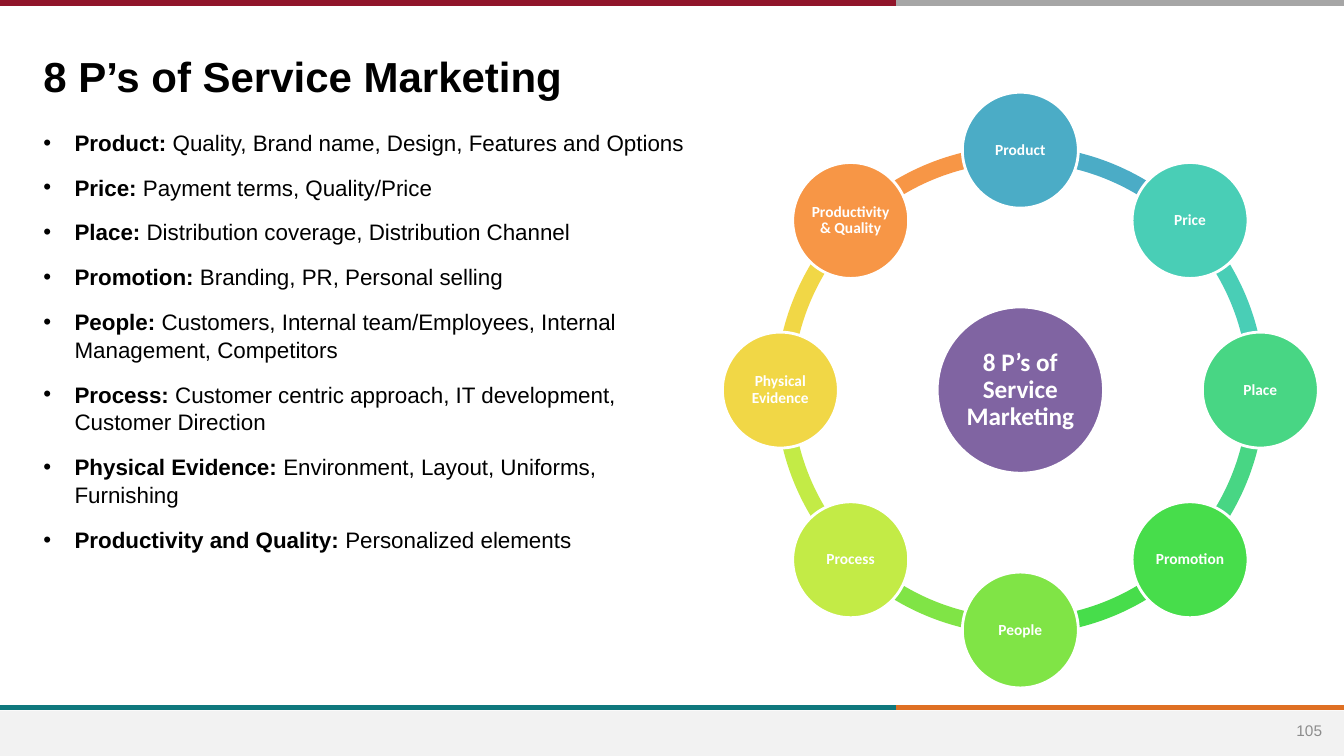
from dataclasses import dataclass
from math import cos, pi, sin

from lxml.etree import SubElement
from pptx import Presentation
from pptx.dml.color import RGBColor
from pptx.enum.shapes import MSO_CONNECTOR, MSO_SHAPE
from pptx.enum.text import MSO_ANCHOR, MSO_AUTO_SIZE, PP_ALIGN
from pptx.oxml.ns import qn
from pptx.util import Inches, Pt


@dataclass(frozen=True)
class Theme:
    text_font: str = "Arial"
    diagram_font: str = "Calibri"
    ink: str = "000000"
    white: str = "FFFFFF"
    muted: str = "8C8C8C"
    footer: str = "F2F2F2"
    teal: str = "0F787D"
    orange: str = "DF7023"
    crimson: str = "90152A"
    gray: str = "A6A6A6"
    hub: str = "8064A2"
    title_size: int = 30
    body_size: int = 16
    hub_size: int = 18
    small_size: int = 11


MARKETING_PS = [
    ("Product: ", "Quality, Brand name, Design, Features and Options"),
    ("Price: ", "Payment terms, Quality/Price"),
    ("Place: ", "Distribution coverage, Distribution Channel"),
    ("Promotion: ", "Branding, PR, Personal selling"),
    ("People: ", "Customers, Internal team/Employees, Internal Management, Competitors"),
    ("Process: ", "Customer centric approach, IT development, Customer Direction"),
    ("Physical Evidence: ", "Environment, Layout, Uniforms, Furnishing"),
    ("Productivity and Quality: ", "Personalized elements"),
]

# Clockwise from the top of the ring
RING = [
    ("Product", "4BACC6"),
    ("Price", "49CEB6"),
    ("Place", "48D684"),
    ("Promotion", "47DD4B"),
    ("People", "80E446"),
    ("Process", "C3EB46"),
    ("Physical Evidence", "F1D746"),
    ("Productivity & Quality", "F79646"),
]

SLIDE_WIDTH, SLIDE_HEIGHT = 13.33, 7.5
BAND_SPLIT = 8.89
FOOTER_TOP = 7.05
CENTER_X, CENTER_Y = 10.12, 3.87
ORBIT = 2.38
NODE_DIAMETER, HUB_DIAMETER, ARC_DIAMETER = 1.15, 1.65, 4.85
ARC_THICKNESS = 0.034
FULL_TURN, TOP_ANGLE = 216, 162  # adjustment units: 0.6 per degree


class SlideBuilder:
    def __init__(self, slide, theme):
        self.slide = slide
        self.theme = theme

    def style(self, run, size, color, font=None, bold=False):
        run.font.name = font or self.theme.text_font
        run.font.size = Pt(size)
        run.font.bold = bold
        run.font.color.rgb = RGBColor.from_string(color)

    def place(self, placeholder, left, top, width, height, anchor):
        placeholder.left, placeholder.top = Inches(left), Inches(top)
        placeholder.width, placeholder.height = Inches(width), Inches(height)
        frame = placeholder.text_frame
        frame.auto_size = MSO_AUTO_SIZE.NONE
        frame.vertical_anchor = anchor
        return frame

    def title(self, wording):
        frame = self.place(self.slide.shapes.title, 0.33, 0.46, 10.65, 0.59, MSO_ANCHOR.MIDDLE)
        frame.text = wording
        heading = frame.paragraphs[0]
        heading.alignment = PP_ALIGN.LEFT
        self.style(heading.runs[0], self.theme.title_size, self.theme.ink, bold=True)

    def definitions(self, entries):
        """Fill the body with bullets, each a bold term and its explanation."""
        frame = self.place(self.slide.placeholders[1], 0.33, 1.22, 6.7, 5.45, MSO_ANCHOR.TOP)
        for index, entry in enumerate(entries):
            bullet = frame.add_paragraph() if index else frame.paragraphs[0]
            properties = bullet._p.get_or_add_pPr()
            properties.set("marL", str(Inches(0.31)))
            properties.set("indent", str(-Inches(0.31)))
            bullet.space_before, bullet.space_after = Pt(0), Pt(12)
            bullet.line_spacing = 1.04
            for wording, bold in zip(entry, (True, False)):
                run = bullet.add_run()
                run.text = wording
                self.style(run, self.theme.body_size, self.theme.ink, bold=bold)

    def shape(self, preset, left, top, width, height, fill):
        shape = self.slide.shapes.add_shape(
            preset, Inches(left), Inches(top), Inches(width), Inches(height))
        shape.shadow.inherit = False
        shape.fill.solid()
        shape.fill.fore_color.rgb = RGBColor.from_string(fill)
        shape.line.fill.background()
        return shape

    def rule(self, start, end, y, color):
        rule = self.slide.shapes.add_connector(
            MSO_CONNECTOR.STRAIGHT, Inches(start), Inches(y), Inches(end), Inches(y))
        rule.line.color.rgb = RGBColor.from_string(color)
        rule.line.width = Pt(4)
        SubElement(rule._element.spPr, qn("a:effectLst"))

    def circle(self, x, y, diameter, fill, label, size):
        """Draw a white-edged labelled circle centred on x, y."""
        circle = self.shape(MSO_SHAPE.OVAL, x - diameter / 2, y - diameter / 2,
                            diameter, diameter, fill)
        circle.line.color.rgb = RGBColor.from_string(self.theme.white)
        circle.line.width = Pt(2)
        frame = circle.text_frame
        frame.text = label
        frame.word_wrap = True
        frame.vertical_anchor = MSO_ANCHOR.MIDDLE
        frame.margin_left = frame.margin_right = Inches(0.02)
        frame.margin_top = frame.margin_bottom = Inches(0.02)
        caption = frame.paragraphs[0]
        caption.alignment = PP_ALIGN.CENTER
        caption.line_spacing = 0.9
        self.style(caption.runs[0], size, self.theme.white, self.theme.diagram_font, bold=True)

    def arc(self, start, end, fill):
        arc = self.shape(MSO_SHAPE.BLOCK_ARC, CENTER_X - ARC_DIAMETER / 2,
                         CENTER_Y - ARC_DIAMETER / 2, ARC_DIAMETER, ARC_DIAMETER, fill)
        for index, value in enumerate((start, end, ARC_THICKNESS)):
            arc.adjustments[index] = value

    def wheel(self, hub_label, nodes):
        step = FULL_TURN / len(nodes)
        for index, (_, color) in reversed(list(enumerate(nodes))):
            start = TOP_ANGLE + index * step
            self.arc(start % FULL_TURN, (start + step) % FULL_TURN, color)
        self.circle(CENTER_X, CENTER_Y, HUB_DIAMETER, self.theme.hub,
                    hub_label, self.theme.hub_size)
        for index, (label, color) in enumerate(nodes):
            angle = 2 * pi * index / len(nodes)
            self.circle(CENTER_X + ORBIT * sin(angle), CENTER_Y - ORBIT * cos(angle),
                        NODE_DIAMETER, color, label, self.theme.small_size)

    def page_number(self, number):
        box = self.slide.shapes.add_textbox(
            Inches(12.64), Inches(FOOTER_TOP), Inches(0.69), Inches(0.4))
        frame = box.text_frame
        frame.text = number
        frame.word_wrap = True
        frame.vertical_anchor = MSO_ANCHOR.MIDDLE
        frame.paragraphs[0].alignment = PP_ALIGN.CENTER
        self.style(frame.paragraphs[0].runs[0], self.theme.small_size, self.theme.muted)


def main():
    presentation = Presentation()
    presentation.slide_width = Inches(SLIDE_WIDTH)
    presentation.slide_height = Inches(SLIDE_HEIGHT)
    theme = Theme()
    builder = SlideBuilder(
        presentation.slides.add_slide(presentation.slide_layouts[1]), theme)

    builder.shape(MSO_SHAPE.RECTANGLE, 0, FOOTER_TOP, SLIDE_WIDTH,
                  SLIDE_HEIGHT - FOOTER_TOP, theme.footer)
    for y, left_color, right_color in ((7.02, theme.teal, theme.orange),
                                       (0.03, theme.crimson, theme.gray)):
        builder.rule(BAND_SPLIT, SLIDE_WIDTH, y, right_color)
        builder.rule(0, BAND_SPLIT, y, left_color)
    builder.title("8 P’s of Service Marketing")
    builder.definitions(MARKETING_PS)
    builder.page_number("105")
    builder.wheel("8 P’s of Service Marketing", RING)
    presentation.save("out.pptx")


if __name__ == "__main__":
    main()
